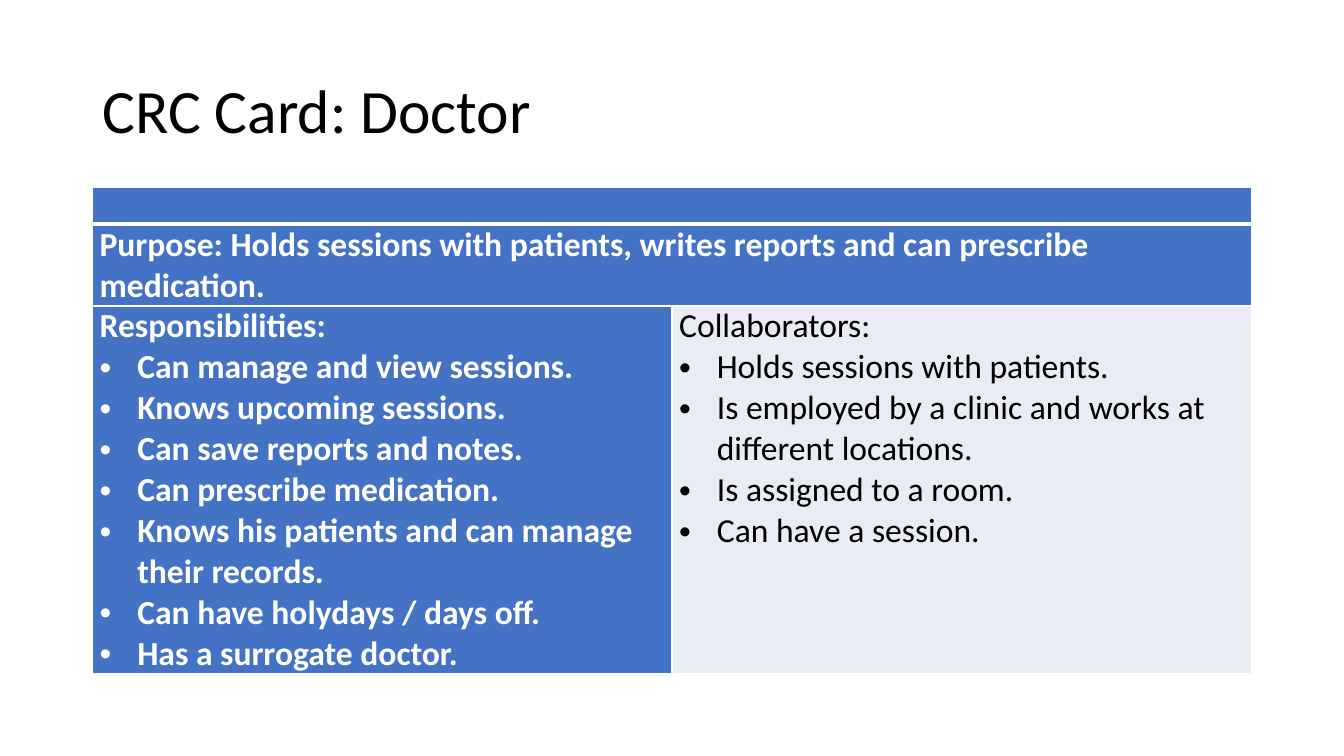
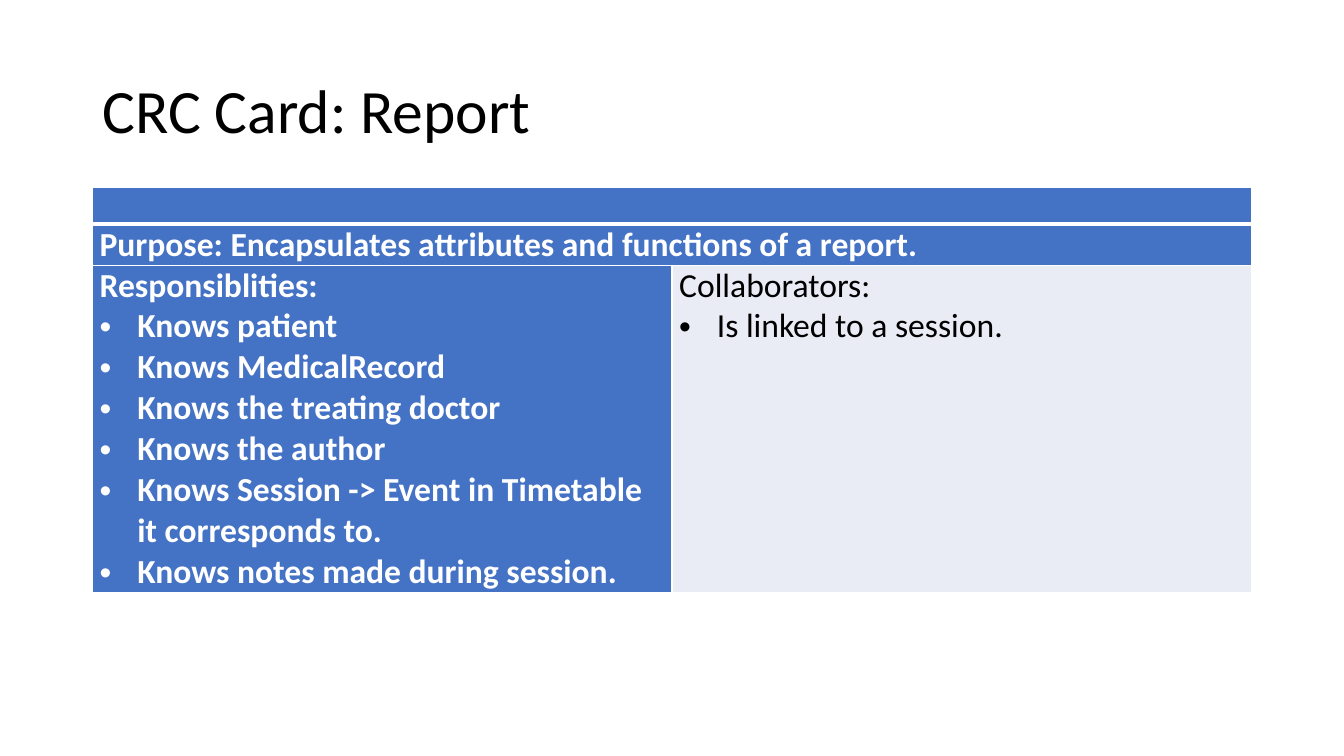
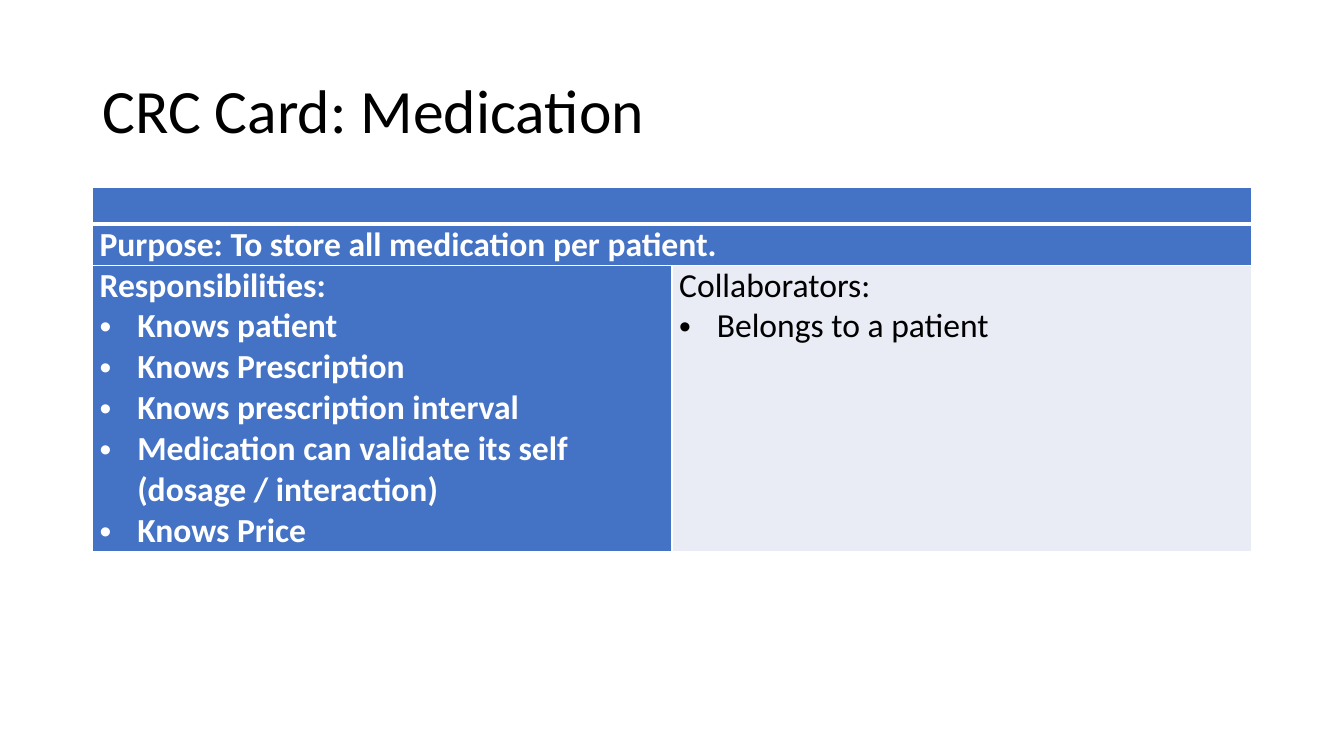
from dataclasses import dataclass

from lxml import etree
from pptx import Presentation
from pptx.dml.color import RGBColor
from pptx.enum.text import MSO_ANCHOR
from pptx.oxml.ns import qn
from pptx.util import Cm, Pt

MIDDLE = MSO_ANCHOR.MIDDLE
BLANK_LAYOUT = 6


@dataclass(frozen=True)
class Theme:
    font: str = "Calibri"
    bullet_font: str = "Arial"
    black: str = "000000"
    white: str = "FFFFFF"
    blue: str = "4472C4"
    pale: str = "E9EBF5"
    title_size: int = 44
    body_size: int = 24
    thin: int = 1
    thick: int = 3
    left: float = 2.33
    width: float = 29.21
    title_top: float = 1.01
    title_height: float = 3.68
    table_top: float = 4.71
    header_height: float = 0.94
    line_height: float = 1.03
    cell_margin: float = 0.18
    indent: float = 0.95


class CardDeck:
    def __init__(self, theme):
        self.theme = theme
        self.prs = Presentation()
        self.prs.slide_width, self.prs.slide_height = Cm(33.87), Cm(19.05)
        self.slide = None

    def new_slide(self):
        layout = self.prs.slide_layouts[BLANK_LAYOUT]
        self.slide = self.prs.slides.add_slide(layout)

    def format_text(self, paragraph, size, color, bold=False):
        for run in paragraph.runs:
            run.font.name = self.theme.font
            run.font.size = Pt(size)
            run.font.bold = bold
            run.font.color.rgb = RGBColor.from_string(color)

    def title(self, text):
        t = self.theme
        box = self.slide.shapes.add_textbox(
            Cm(t.left), Cm(t.title_top), Cm(t.width), Cm(t.title_height))
        frame = box.text_frame
        frame.word_wrap = True
        frame.vertical_anchor = MIDDLE
        frame.text = text
        frame.paragraphs[0].line_spacing = 0.9
        self.format_text(frame.paragraphs[0], t.title_size, t.black)

    def bullet(self, paragraph):
        props = paragraph._p.get_or_add_pPr()
        indent = Cm(self.theme.indent)
        props.set("marL", str(indent))
        props.set("indent", str(-indent))
        etree.SubElement(props, qn("a:buFont"), typeface=self.theme.bullet_font)
        etree.SubElement(props, qn("a:buChar"), char="•")

    def borders(self, cell, top, bottom):
        thin = self.theme.thin
        props = cell._tc.get_or_add_tcPr()
        for side, width in (("L", thin), ("R", thin), ("T", top), ("B", bottom)):
            line = etree.SubElement(props, qn(f"a:ln{side}"), w=str(Pt(width)))
            fill = etree.SubElement(line, qn("a:solidFill"))
            etree.SubElement(fill, qn("a:srgbClr"), val=self.theme.white)

    def style_cell(self, cell, fill, top, bottom):
        self.borders(cell, top, bottom)
        cell.fill.solid()
        cell.fill.fore_color.rgb = RGBColor.from_string(fill)
        cell.margin_left = cell.margin_right = Cm(self.theme.cell_margin)
        cell.margin_top = cell.margin_bottom = 0

    def fill_text(self, cell, heading, items=(), color=None, bold=True):
        t = self.theme
        cell.text_frame.text = "\n".join([heading, *items])
        for i, paragraph in enumerate(cell.text_frame.paragraphs):
            self.format_text(paragraph, t.body_size, color or t.white, bold)
            if i:
                self.bullet(paragraph)

    def card_table(self, card):
        t = self.theme
        heights = [t.header_height] + [n * t.line_height for n in card["lines"]]
        table = self.slide.shapes.add_table(
            3, 2, Cm(t.left), Cm(t.table_top), Cm(t.width), Cm(sum(heights))).table
        table.first_row = table.horz_banding = False
        for row, height in zip(table.rows, heights):
            row.height = Cm(height)

        # Fills and rules, with a thick rule under the header
        rules = ((t.thin, t.thick), (t.thick, t.thin), (t.thin, t.thin))
        for r, (top, bottom) in enumerate(rules):
            for c in range(2):
                fill = t.pale if (r, c) == (2, 1) else t.blue
                self.style_cell(table.cell(r, c), fill, top, bottom)
        for r in range(2):
            table.cell(r, 0).merge(table.cell(r, 1))

        # Card wording
        self.fill_text(table.cell(1, 0), "Purpose: " + card["purpose"])
        self.fill_text(table.cell(2, 0), card.get("heading", "Responsibilities:"),
                       card["responsibilities"])
        self.fill_text(table.cell(2, 1), "Collaborators:", card["collaborators"],
                       t.black, bold=False)


# "lines" gives the text lines in the purpose row and in the body row
CARDS = [
    {
        "name": "Doctor",
        "lines": (2, 9),
        "purpose": "Holds sessions with patients, writes reports and can "
                   "prescribe medication.",
        "responsibilities": [
            "Can manage and view sessions.",
            "Knows upcoming sessions.",
            "Can save reports and notes.",
            "Can prescribe medication.",
            "Knows his patients and can manage their records.",
            "Can have holydays / days off.",
            "Has a surrogate doctor.",
        ],
        "collaborators": [
            "Holds sessions with patients.",
            "Is employed by a clinic and works at different locations.",
            "Is assigned to a room.",
            "Can have a session.",
        ],
    },
    {
        "name": "Report",
        "lines": (1, 8),
        "purpose": "Encapsulates attributes and functions of a report.",
        "heading": "Responsiblities:",
        "responsibilities": [
            "Knows patient",
            "Knows MedicalRecord",
            "Knows the treating doctor",
            "Knows the author",
            "Knows Session -> Event in Timetable it corresponds to.",
            "Knows notes made during session.",
        ],
        "collaborators": ["Is linked to a session."],
    },
    {
        "name": "Medication",
        "lines": (1, 7),
        "purpose": "To store all medication per patient.",
        "responsibilities": [
            "Knows patient",
            "Knows Prescription",
            "Knows prescription interval",
            "Medication can validate its self (dosage / interaction)",
            "Knows Price",
        ],
        "collaborators": ["Belongs to a patient"],
    },
]

# One slide per card
deck = CardDeck(Theme())
for card in CARDS:
    deck.new_slide()
    deck.title("CRC Card: " + card["name"])
    deck.card_table(card)
deck.prs.save("out.pptx")
